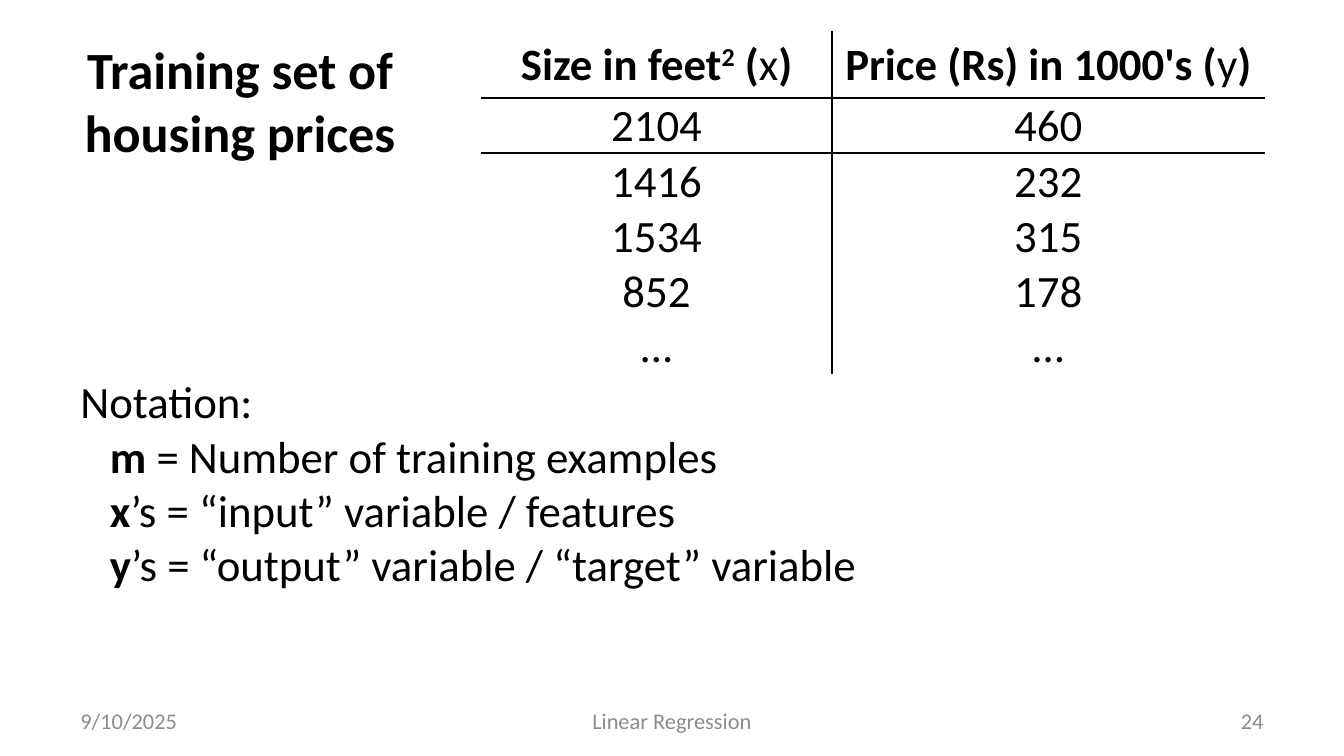
from dataclasses import dataclass

from lxml.etree import SubElement
from pptx import Presentation
from pptx.dml.color import RGBColor
from pptx.enum.text import MSO_ANCHOR, MSO_AUTO_SIZE, PP_ALIGN
from pptx.oxml.ns import qn
from pptx.util import Inches, Pt


@dataclass(frozen=True)
class Theme:
    font: str = "Calibri"
    ink: str = "000000"
    muted: str = "8C8C8C"
    title: int = 28
    body: int = 24
    footer: int = 12
    rule: int = 1


THEME = Theme()
HEADERS = [
    [("Size in feet", "b"), ("2", "b^"), (" (", "b"), ("x", ""), (")", "b")],
    [("Price (Rs) in 1000's (", "b"), ("y", ""), (")", "b")],
]
HOUSES = [("2104", "460"), ("1416", "232"), ("1534", "315"), ("852", "178"), ("…", "…")]
NOTATION = [
    ("m", " = Number of training examples"),
    ("x", "’s = “input” variable / features"),
    ("y", "’s = “output” variable / “target” variable"),
]


def write(p, runs, size=THEME.body, color=THEME.ink, align=PP_ALIGN.LEFT):
    """Add (text, style) runs; in a style, b is bold and ^ is superscript."""
    p.alignment = align
    for text, style in runs:
        r = p.add_run()
        r.text = text
        r.font.name = THEME.font
        r.font.size = Pt(size)
        r.font.bold = "b" in style
        r.font.color.rgb = RGBColor.from_string(color)
        if "^" in style:
            r._r.get_or_add_rPr().set("baseline", "30000")


def add_box(s, x, y, w, h, anchor=MSO_ANCHOR.TOP):
    tf = s.shapes.add_textbox(Inches(x), Inches(y), Inches(w), Inches(h)).text_frame
    tf.word_wrap = True
    tf.vertical_anchor = anchor
    return tf


def place_title(s, x, y, w, h):
    sp = s.shapes.title
    sp.left, sp.top, sp.width, sp.height = (Inches(v) for v in (x, y, w, h))
    tf = sp.text_frame
    tf.auto_size = MSO_AUTO_SIZE.NONE
    tf.word_wrap = True
    tf.vertical_anchor = MSO_ANCHOR.TOP
    for i, line in enumerate(("Training set of", "housing prices")):
        p = tf.add_paragraph() if i else tf.paragraphs[0]
        write(p, [(line, "b")], size=THEME.title, align=PP_ALIGN.CENTER)


def set_borders(cell, sides):
    """Rule the named sides (of L, R, T, B) and clear the others."""
    tcPr = cell._tc.get_or_add_tcPr()
    for i, side in enumerate("LRTB"):
        ln = SubElement(tcPr, qn(f"a:ln{side}"), w=str(Pt(THEME.rule)))
        if side in sides:
            fill = SubElement(ln, qn("a:solidFill"))
            SubElement(fill, qn("a:srgbClr"), val=THEME.ink)
        else:
            SubElement(ln, qn("a:noFill"))
        tcPr.insert(i, ln)


def add_price_table(s, x, y, w, h):
    col_w, head_h = 2.61, 0.5
    rows = [HEADERS] + [[[(v, "")] for v in house] for house in HOUSES]
    table = s.shapes.add_table(
        len(rows), 2, Inches(x), Inches(y), Inches(w), Inches(h)).table
    table.first_row = table.horz_banding = False
    for col, width in zip(table.columns, (col_w, w - col_w)):
        col.width = Inches(width)
    row_h = (h - head_h) / len(HOUSES)
    for i, values in enumerate(rows):
        table.rows[i].height = Inches(row_h if i else head_h)
        for j, runs in enumerate(values):
            cell = table.cell(i, j)
            cell.fill.background()
            cell.margin_left = cell.margin_right = cell.margin_top = Inches(0.01)
            cell.margin_bottom = 0
            cell.vertical_anchor = MSO_ANCHOR.BOTTOM if i else MSO_ANCHOR.MIDDLE
            write(cell.text_frame.paragraphs[0], runs, align=PP_ALIGN.CENTER)
            sides = "L" if j else "R"
            sides += "B" if i < 2 else ""
            sides += "T" if i in (1, 2) else ""
            set_borders(cell, sides)


def add_notation(s, x, y, w, h):
    tf = add_box(s, x, y, w, h)
    write(tf.paragraphs[0], [("Notation:", "")])
    for i, (symbol, meaning) in enumerate(NOTATION):
        p = tf.add_paragraph()
        p._p.get_or_add_pPr().set("marL", str(Inches(0.22)))
        if i == 0:
            p.space_before = Pt(1)
        write(p, [(symbol, "b"), (meaning, "")])


def add_footer(s, x, y, w, h):
    side_w, mid_w = 2.33, 3.17
    parts = [
        ("9/10/2025", x, side_w, PP_ALIGN.LEFT),
        ("Linear Regression", x + (w - mid_w) / 2, mid_w, PP_ALIGN.CENTER),
        ("24", x + w - side_w, side_w, PP_ALIGN.RIGHT),
    ]
    for text, left, width, align in parts:
        tf = add_box(s, left, y, width, h, MSO_ANCHOR.MIDDLE)
        write(tf.paragraphs[0], [(text, "")], size=THEME.footer,
              color=THEME.muted, align=align)


def main():
    prs = Presentation()
    prs.slide_width = Inches(10)
    prs.slide_height = prs.slide_width * 9 // 16
    s = prs.slides.add_slide(prs.slide_layouts.get_by_name("Title Only"))
    add_notation(s, 0.5, 2.73, 6.03, 1.75)
    add_price_table(s, 3.58, 0.23, 5.83, 2.54)
    place_title(s, 0.5, 0.23, 2.57, 1.51)
    add_footer(s, 0.5, 5.21, 9, 0.3)
    prs.save("out.pptx")


if __name__ == "__main__":
    main()
